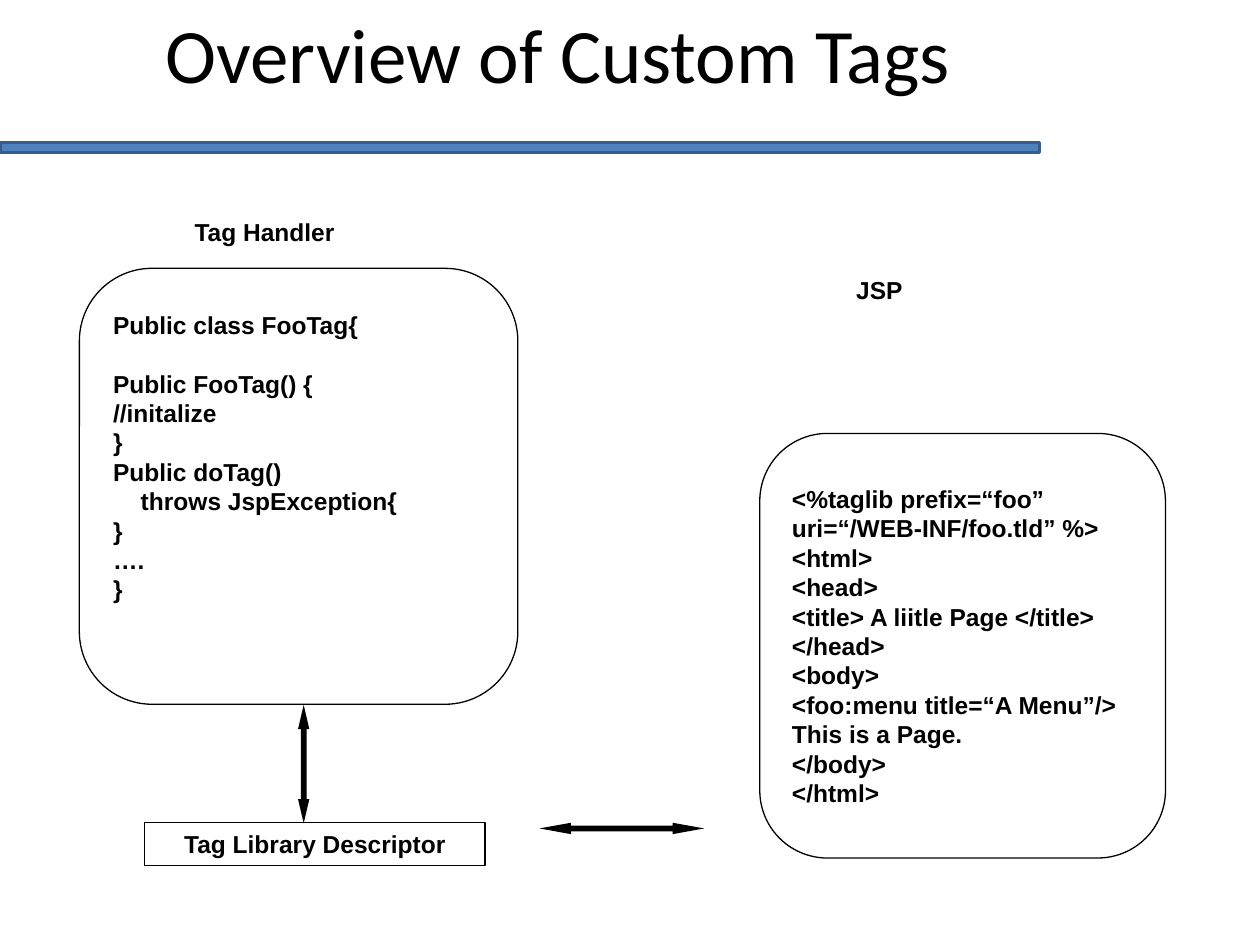
from pptx import Presentation
from pptx.dml.color import RGBColor
from pptx.enum.shapes import MSO_SHAPE
from pptx.enum.text import MSO_ANCHOR, PP_ALIGN
from pptx.util import Inches, Pt

COLS, ROWS = 100, 75  # grid over the slide
PITCH = 16.8          # line pitch of the body text, points


def paint(hue):
    return RGBColor.from_string(hue)


class Deck:
    ink, font, size = "000000", "Arial", 14

    def __init__(self):
        self.prs = Presentation()
        self.prs.slide_width, self.prs.slide_height = Inches(10), Inches(7.5)
        self.slide = self.prs.slides.add_slide(self.prs.slide_layouts[5])

    def area(self, x, y, w, h):
        col, row = self.prs.slide_width / COLS, self.prs.slide_height / ROWS
        return [round(n) for n in (x * col, y * row, w * col, h * row)]

    def run(self, para, text, size=size, font=font, bold=True):
        run = para.add_run()
        run.text = text
        run.font.size, run.font.name, run.font.bold = Pt(size), font, bold
        run.font.color.rgb = paint(self.ink)

    def title(self, text, *box):
        head = self.slide.shapes.title
        head.left, head.top, head.width, head.height = self.area(*box)
        frame = head.text_frame
        frame.vertical_anchor = MSO_ANCHOR.MIDDLE
        frame.paragraphs[0].alignment = PP_ALIGN.CENTER
        self.run(frame.paragraphs[0], text, 44, "Calibri", False)

    def shape(self, kind, *box, fill=None, line=None, width=0.75):
        item = self.slide.shapes.add_shape(kind, *self.area(*box))
        item.shadow.inherit = False
        for part, hue in ((item.fill, fill), (item.line.fill, line)):
            if hue:
                part.solid()
                part.fore_color.rgb = paint(hue)
            else:
                part.background()
        if line:
            item.line.width = Pt(width)
        return item

    def text(self, item, lines, align, anchor):
        frame = item.text_frame
        frame.word_wrap, frame.vertical_anchor = True, anchor
        for i, (text, gap, dent) in enumerate(lines):
            para = frame.add_paragraph() if i else frame.paragraphs[0]
            para.alignment, para.line_spacing = align, Pt(PITCH)
            para.space_before = Pt(gap * PITCH)
            if dent:
                para._p.get_or_add_pPr().set("marL", str(Inches(dent)))
            self.run(para, text)
        return frame

    def code(self, lines, *box, tail=0):
        item = self.shape(MSO_SHAPE.FLOWCHART_ALTERNATE_PROCESS, *box, line=self.ink)
        frame = self.text(item, lines, PP_ALIGN.LEFT, MSO_ANCHOR.MIDDLE)
        frame.margin_bottom = Inches(0.05) + Pt(tail * PITCH)

    def label(self, text, *box, frame=False):
        if frame:
            item = self.shape(MSO_SHAPE.RECTANGLE, *box, line=self.ink)
        else:
            item = self.slide.shapes.add_textbox(*self.area(*box))
        self.text(item, [(text, 0, 0)], PP_ALIGN.CENTER, MSO_ANCHOR.TOP)

    def arrow(self, *box, head, turn=0):
        item = self.shape(MSO_SHAPE.LEFT_RIGHT_ARROW, *box, fill=self.ink)
        item.adjustments[0], item.adjustments[1] = 0.5, head
        item.rotation = turn


# Each code line: text, blank lines above, left indent in inches
HANDLER = [
    ("Public class FooTag{", 0, 0),
    ("Public FooTag() {", 1, 0),
    ("//initalize", 0, 0),
    ("}", 0, 0),
    ("Public doTag()", 0, 0),
    ("throws JspException{", 0, 0.22),
    ("}", 0, 0),
    ("….", 0, 0),
    ("}", 0, 0),
]
PAGE = [(text, 0, 0) for text in (
    "<%taglib prefix=“foo”",
    "uri=“/WEB-INF/foo.tld” %>",
    "<html>",
    "<head>",
    "<title> A liitle Page </title>",
    "</head>",
    "<body>",
    "<foo:menu title=“A Menu”/>",
    "This is a Page.",
    "</body>",
    "</html>",
)]


def main():
    deck = Deck()
    # Title and rule
    deck.shape(MSO_SHAPE.RECTANGLE, 0, 11.3, 82.5, 0.8,
               fill="4F81BD", line="385D8A", width=2)
    deck.title("Overview of Custom Tags ", 0, 0, 90, 8.3)
    # Code panels
    deck.code(HANDLER, 6.3, 21.3, 34.8, 34.6, tail=2)
    deck.code(PAGE, 60.3, 34.4, 32.2, 33.7)
    # Labels
    deck.label("Tag Handler", 9.7, 16.7, 22.6, 3.4)
    deck.label("JSP", 58.5, 21.3, 22.6, 3.4)
    deck.label("Tag Library Descriptor", 11.5, 65.3, 27, 3.4, frame=True)
    # Double arrows
    deck.arrow(42.8, 65.3, 13.1, 0.9, head=2.79)
    deck.arrow(19.4, 60.2, 9.4, 0.9, head=2.14, turn=90)
    deck.prs.save("out.pptx")


if __name__ == "__main__":
    main()
